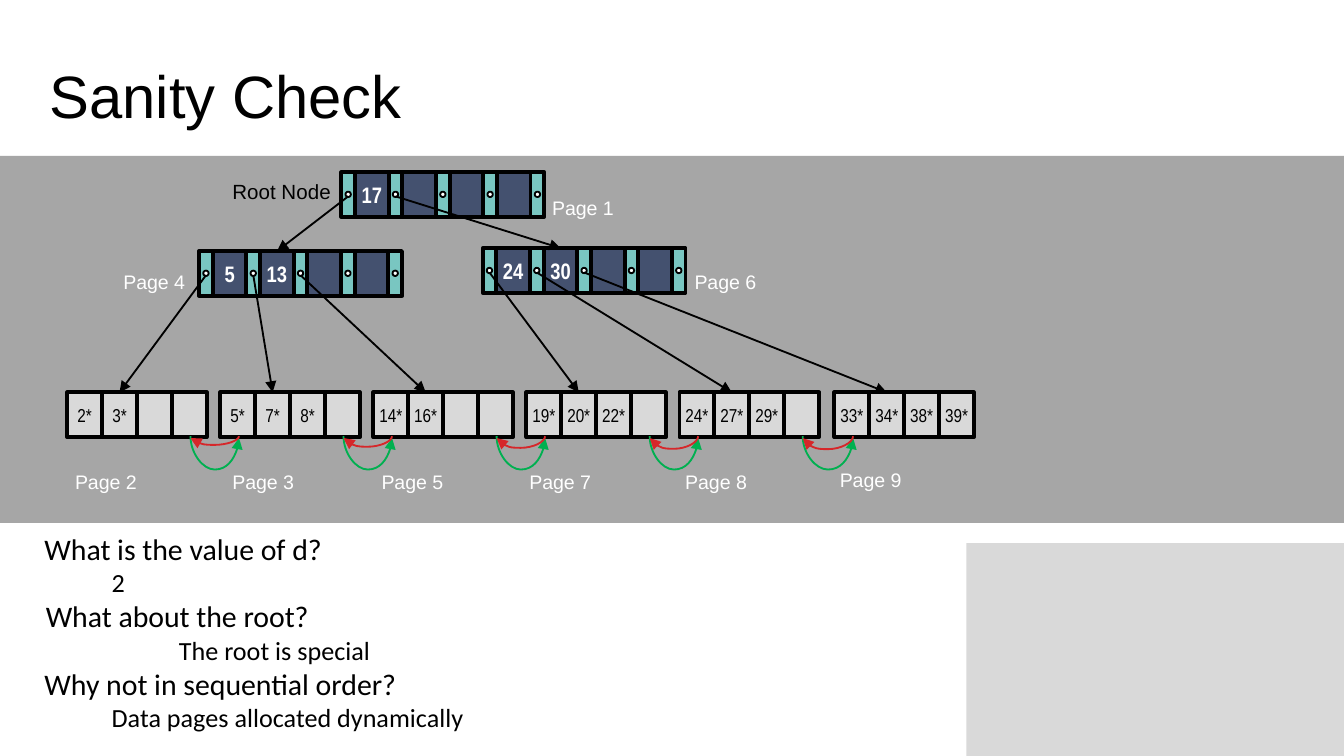
from lxml.etree import SubElement
from pptx import Presentation
from pptx.dml.color import RGBColor
from pptx.enum.shapes import MSO_CONNECTOR as LINK, MSO_SHAPE as SHAPE
from pptx.enum.text import MSO_ANCHOR as ANCHOR, MSO_AUTO_SIZE as FIT, PP_ALIGN as ALIGN
from pptx.oxml.ns import qn
from pptx.util import Pt

rgb = RGBColor.from_string
BLACK, WHITE, BAND, PALE = "000000", "FFFFFF", "A6A6A6", "D9D9D9"
NAVY, TEAL, GREEN, RED = "44516F", "79C6C1", "00B050", "D6272A"

TITLE = {"name": "Arial", "size": Pt(32), "bold": False}
KEY = {"name": "Arial Narrow", "size": Pt(12), "bold": True}
RECORD = {"name": "Arial Narrow", "size": Pt(10), "bold": False}
QUESTION = {"name": "Calibri", "size": Pt(16)}
ANSWER = {"name": "Calibri", "size": Pt(14)}
CAPTION = {"name": "Arial", "size": Pt(11)}
PAGE = {"name": "Arial", "size": Pt(10.5)}


def write(paragraph, text, color, font_format):
    paragraph.text = text
    for attribute, value in font_format.items():
        setattr(paragraph.font, attribute, value)
    paragraph.font.color.rgb = rgb(color)


def add_box(parent, left, top, width, height, fill, border=0, shape=SHAPE.RECTANGLE):
    """Add a filled shape, outlined in black when border is above zero."""
    box = parent.add_shape(shape, Pt(left), Pt(top), Pt(width), Pt(height))
    box.shadow.inherit = False
    box.fill.solid()
    box.fill.fore_color.rgb = rgb(fill)
    if border:
        box.line.color.rgb = rgb(BLACK)
        box.line.width = Pt(border)
    else:
        box.line.fill.background()
    frame = box.text_frame
    frame.margin_left = frame.margin_right = 0
    frame.vertical_anchor = ANCHOR.MIDDLE
    frame.paragraphs[0].alignment = ALIGN.CENTER
    return box


prs = Presentation()
prs.slide_width, prs.slide_height = Pt(720), Pt(405)
slide = prs.slides.add_slide(prs.slide_layouts[1])
shapes = slide.shapes

add_box(shapes, 517.7, 291, 202.3, 114, PALE)
add_box(shapes, 0, 83.5, 720, 196.7, BAND)

# Title
title = shapes.title
title.left, title.top, title.width, title.height = Pt(19.4), Pt(24.5), Pt(562.3), Pt(60.5)
title.text_frame.vertical_anchor = ANCHOR.TOP
title.text_frame.margin_top = Pt(7)
title.text_frame.auto_size = FIT.NONE
title.text_frame.paragraphs[0].alignment = ALIGN.LEFT
write(title.text_frame.paragraphs[0], "Sanity Check", BLACK, TITLE)

# Questions and answers
quiz = slide.placeholders[1]
quiz.left, quiz.top, quiz.width, quiz.height = Pt(16.6), Pt(280.8), Pt(291.6), Pt(138)
quiz.text_frame.auto_size = FIT.NONE
quiz_lines = [
    ("What is the value of d?", 0, QUESTION),
    ("2", 36, ANSWER),
    ("What about the root?", 0.7, QUESTION),
    ("The root is special", 72, ANSWER),
    ("Why not in sequential order?", 0, QUESTION),
    ("Data pages allocated dynamically", 36, ANSWER),
]
for number, (text, indent, text_format) in enumerate(quiz_lines):
    paragraph = quiz.text_frame.add_paragraph() if number else quiz.text_frame.paragraphs[0]
    properties = paragraph._p.get_or_add_pPr()
    properties.set("marL", str(Pt(indent)))
    properties.set("indent", "0")
    SubElement(properties, qn("a:buNone"))
    paragraph.space_before = Pt(0)
    write(paragraph, text, BLACK, text_format)

# Index nodes: four keys between five pointers
ROW_HEIGHT = 24
POINTER_WIDTH, KEY_WIDTH, PITCH = 7.3, 18, 25.35
root, left_node, right_node = (182.9, 92.2), (106.7, 134.5), (258.6, 133)
index_nodes = [(root, ["17"]), (left_node, ["5", "13"]), (right_node, ["24", "30"])]
for (left, top), keys in index_nodes:
    node = shapes.add_group_shape().shapes
    for slot in range(5):
        x = left + slot * PITCH
        add_box(node, x, top, POINTER_WIDTH, ROW_HEIGHT, TEAL, 2)
        add_box(node, x + 2.2, top + 10.5, 2.9, 2.9, WHITE, 1, SHAPE.OVAL)
        if slot < 4:
            key_box = add_box(node, x + POINTER_WIDTH, top, KEY_WIDTH, ROW_HEIGHT, NAVY, 2)
            if slot < len(keys):
                write(key_box.text_frame.paragraphs[0], keys[slot], WHITE, KEY)

# Leaf pages: four records each
LEAF_TOP, RECORD_WIDTH = 210.2, 18.7
leaf_lefts = [36 + 82 * i for i in range(5)] + [447]
leaf_records = ["2* 3*", "5* 7* 8*", "14* 16*", "19* 20* 22*", "24* 27* 29*", "33* 34* 38* 39*"]
for left, records in zip(leaf_lefts, leaf_records):
    leaf = shapes.add_group_shape().shapes
    records = records.split()
    for slot in range(4):
        record_box = add_box(leaf, left + slot * RECORD_WIDTH, LEAF_TOP,
                             RECORD_WIDTH, ROW_HEIGHT, PALE, 2)
        if slot < len(records):
            write(record_box.text_frame.paragraphs[0], records[slot], BLACK, RECORD)

# Pointers from a node's slot down to a child
arrows = []
children = [(root, 0, left_node[0] + 41.8, left_node[1]),
            (root, 1, right_node[0] + 41.8, right_node[1])]
for i, left in enumerate(leaf_lefts):
    parent = left_node if i < 3 else right_node
    children.append((parent, i % 3, left + 1.5 * RECORD_WIDTH, LEAF_TOP))
for (left, top), slot, child_x, child_y in children:
    pointer_x = left + slot * PITCH + POINTER_WIDTH / 2
    arrow = shapes.add_connector(LINK.STRAIGHT, Pt(pointer_x), Pt(top + 13),
                                 Pt(child_x), Pt(child_y))
    arrows.append((arrow, BLACK))

# Sibling links: a 1 pt wide curve turned sideways, so its adjustment is the depth in points
link_y = LEAF_TOP + ROW_HEIGHT
back_depths = [4.7, 5.7, 6.3, 6.8, 7]
for left, next_left, back_depth in zip(leaf_lefts, leaf_lefts[1:], back_depths):
    start, end = left + 66, next_left + 10
    middle, half = (start + end) / 2, (end - start) / 2
    for color, depth, turn in [(GREEN, 18, 270), (RED, back_depth, 90)]:
        link = shapes.add_connector(LINK.CURVE, Pt(middle - 0.5), Pt(link_y - half),
                                    Pt(middle + 0.5), Pt(link_y + half))
        xfrm = link._element.spPr.find(qn("a:xfrm"))
        xfrm.set("rot", str(turn * 60000))
        if turn == 270:
            xfrm.set("flipH", "1")
        adjustments = link._element.xpath(".//a:avLst")[0]
        SubElement(adjustments, qn("a:gd"), name="adj1", fmla=f"val {round(depth * 100000)}")
        arrows.append((link, color))

for arrow, color in arrows:
    arrow.line.color.rgb = rgb(color)
    arrow.line.width = Pt(1)
    outline = arrow._element.spPr
    SubElement(outline.find(qn("a:ln")), qn("a:tailEnd"), type="triangle")
    SubElement(outline, qn("a:effectLst"))

# Labels
labels = [("Root Node", 117.4, 92.2, 68.4, BLACK, CAPTION)]
page_places = [(1, 288.7, 101.5), (4, 59, 141.1), (6, 365, 141.1), (2, 33.1, 248.4),
               (3, 117.4, 248.4), (5, 197.3, 248.4), (7, 276.5, 248.4), (8, 360, 248.4),
               (9, 442.8, 247)]
for page, left, top in page_places:
    labels.append((f"Page {page}", left, top, 49, WHITE, PAGE))
for text, left, top, width, color, text_format in labels:
    label = shapes.add_textbox(Pt(left), Pt(top), Pt(width), Pt(20.9)).text_frame
    label.word_wrap = False
    write(label.paragraphs[0], text, color, text_format)

prs.save("out.pptx")
